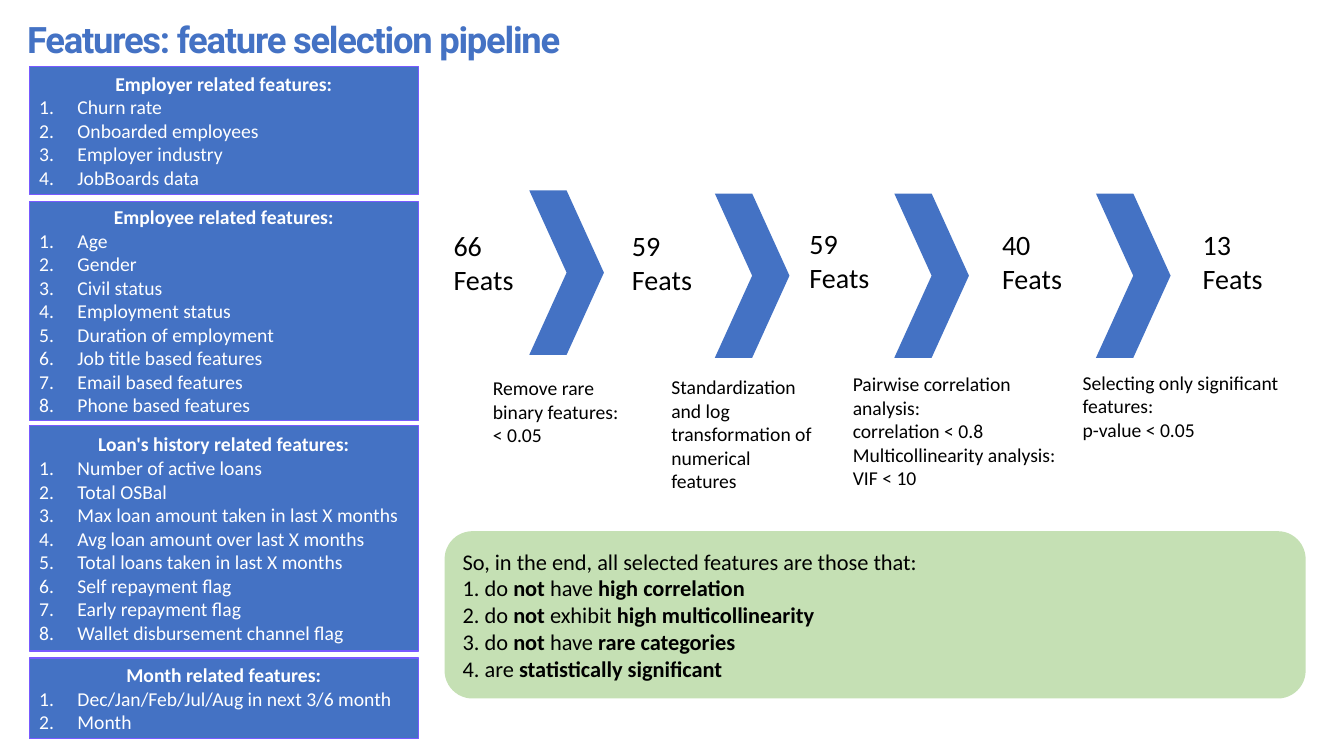
from pptx import Presentation
from pptx.dml.color import RGBColor as Rgb
from pptx.enum.shapes import MSO_SHAPE as Kind
from pptx.enum.text import MSO_ANCHOR as Anchor, MSO_AUTO_SIZE as Auto, PP_ALIGN as Align
from pptx.oxml.ns import qn
from pptx.util import Pt
from lxml import etree

SCALE = 9144


def px(n):
    return n * SCALE


def tint(code):
    return Rgb.from_string(code)


class Deck:
    blue, edge, green = "4472C4", "785AFF", "C5E0B4"
    black, white = "000000", "FFFFFF"
    font = "Calibri"

    def __init__(self):
        self.prs = Presentation()
        self.prs.slide_width, self.prs.slide_height = px(1333), px(750)
        self.slide = self.prs.slides.add_slide(self.prs.slide_layouts[6])

    def run(self, para, text, size, color, bold=False, font=None):
        run = para.add_run()
        run.text = text
        run.font.size = Pt(size)
        run.font.name = font or self.font
        run.font.bold = bold
        run.font.color.rgb = tint(color)
        return run

    def paras(self, frame, count):
        frame.word_wrap = True
        for i in range(count):
            para = frame.add_paragraph() if i else frame.paragraphs[0]
            para.alignment = Align.LEFT
            yield para

    def frame(self, box):
        frame = self.slide.shapes.add_textbox(*map(px, box)).text_frame
        frame.auto_size = Auto.SHAPE_TO_FIT_TEXT
        return frame

    def title(self, box, text):
        for para in self.paras(self.frame(box), 1):
            run = self.run(para, text, 26, self.blue, True, "Roboto")
            run._r.get_or_add_rPr().set("spc", "-90")

    def text(self, box, lines, size):
        for para, line in zip(self.paras(self.frame(box), len(lines)), lines):
            self.run(para, line, size, self.black)

    def shape(self, kind, box, fill, edge=None):
        shape = self.slide.shapes.add_shape(kind, *map(px, box))
        shape.shadow.inherit = False
        shape.fill.solid()
        shape.fill.fore_color.rgb = tint(fill)
        if edge:
            shape.line.color.rgb = tint(edge)
            shape.line.width = Pt(1)
        else:
            shape.line.fill.background()
        shape.text_frame.vertical_anchor = Anchor.MIDDLE
        return shape

    def chevron(self, left, top):
        self.shape(Kind.CHEVRON, (left, top, 74, 163), self.blue)

    def panel(self, box, head, items):
        frame = self.shape(Kind.RECTANGLE, box, self.blue, self.edge).text_frame
        first, *rest = self.paras(frame, len(items) + 1)
        first.alignment = Align.CENTER
        self.run(first, head, 14, self.white, True)
        for para, item in zip(rest, items):
            self.run(para, item, 14, self.white)
            prop = para._p.get_or_add_pPr()
            prop.set("marL", str(px(38)))
            prop.set("indent", str(-px(38)))
            etree.SubElement(prop, qn("a:buFont"), typeface="+mj-lt")
            etree.SubElement(prop, qn("a:buAutoNum"), type="arabicPeriod")

    def note(self, box, lines):
        frame = self.shape(Kind.ROUNDED_RECTANGLE, box, self.green).text_frame
        for para, line in zip(self.paras(frame, len(lines)), lines):
            for i, part in enumerate(line.split("*")):
                if part:
                    self.run(para, part, 16, self.black, i % 2 == 1)


PANELS = [
    (66, 127, "Employer related features:",
     ["Churn rate", "Onboarded employees", "Employer industry", "JobBoards data"]),
    (200, 217, "Employee related features:",
     ["Age", "Gender", "Civil status", "Employment status",
      "Duration of employment", "Job title based features",
      "Email based features", "Phone based features"]),
    (422, 224, "Loan's history related features:",
     ["Number of active loans", "Total OSBal",
      "Max loan amount taken in last X months",
      "Avg loan amount over last X months",
      "Total loans taken in last X months", "Self repayment flag",
      "Early repayment flag", "Wallet disbursement channel flag"]),
    (653, 80, "Month related features:",
     ["Dec/Jan/Feb/Jul/Aug in next 3/6 month", "Month"]),
]
COUNTS = [(440, 222, "66"), (617, 222, "59"), (793, 220, "59"),
          (984, 221, "40"), (1183, 221, "13")]
ARROWS = [(525, 189), (709, 192), (887, 192), (1087, 192)]
STEPS = [
    ((479, 368, 169, 79), ["Remove rare", "binary features:", "< 0.05"]),
    ((656, 367, 166, 79),
     ["Standardization and log transformation of numerical features"]),
    ((836, 364, 234, 102),
     ["Pairwise correlation analysis:", "correlation < 0.8",
      "Multicollinearity analysis:", "VIF < 10"]),
    ((1064, 363, 246, 56),
     ["Selecting only significant features:", "p-value < 0.05"]),
]
RESULT = [
    "So, in the end, all selected features are those that:",
    "1. do *not* have *high correlation*",
    "2. do *not* exhibit *high multicollinearity*",
    "3. do *not* have *rare categories*",
    "4. are *statistically significant*",
]


def main():
    deck = Deck()
    deck.title((17, 12, 1270, 54), "Features: feature selection pipeline")
    for left, top in ARROWS:
        deck.chevron(left, top)
    for box, lines in STEPS:
        deck.text(box, lines, 14)
    for left, top, count in COUNTS:
        deck.text((left, top, 114, 76), [count, "Feats"], 20)
    deck.note((441, 527, 854, 166), RESULT)
    for top, high, head, items in PANELS:
        deck.panel((29, top, 386, high), head, items)
    deck.prs.save("out.pptx")


if __name__ == "__main__":
    main()
